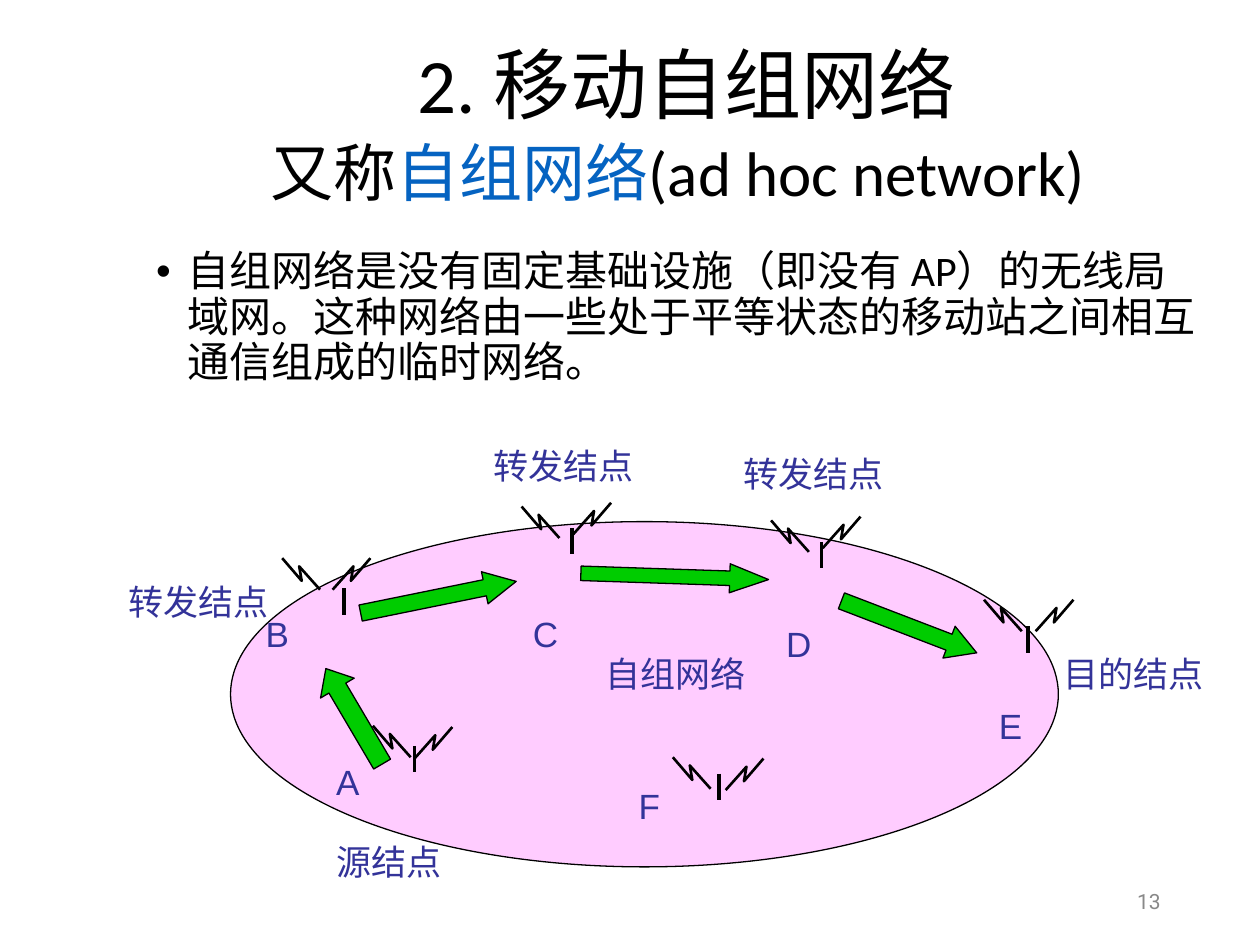
from dataclasses import dataclass

from lxml import etree
from pptx import Presentation
from pptx.dml.color import RGBColor
from pptx.enum.shapes import MSO_CONNECTOR, MSO_SHAPE
from pptx.enum.text import MSO_ANCHOR, MSO_AUTO_SIZE, PP_ALIGN
from pptx.oxml.ns import qn
from pptx.util import Inches, Pt

STRAIGHT = MSO_CONNECTOR.STRAIGHT
OVAL, ARROW = MSO_SHAPE.OVAL, MSO_SHAPE.RIGHT_ARROW
MIDDLE, TOP = MSO_ANCHOR.MIDDLE, MSO_ANCHOR.TOP
FIT, NO_FIT = MSO_AUTO_SIZE.SHAPE_TO_FIT_TEXT, MSO_AUTO_SIZE.NONE
CENTER, RIGHT = PP_ALIGN.CENTER, PP_ALIGN.RIGHT

UNIT = Inches(0.1)  # the slide is a grid of 100 columns by 75 rows
BLACK, INDIGO, LINK = "000000", "333399", "0563C1"
PINK, GREEN, GREY = "FFCCFF", "00CC00", "898989"

# Zigzag of a radio wave, from the mast outwards
WAVE = [(1.65, -1.85), (1.45, -0.7), (3, -2.5)]

# letter, letter place, mast top, starts of left and right wave from the mast top
STATIONS = [
    ("A", (16.7, 25.9), (23.9, 25.2), (-0.3, 0.9), (0, 1)),
    ("B", (11.1, 14.1), (18.3, 12.7), (-1.9, 0.1), (-0.9, 0.1)),
    ("C", (32.3, 14.1), (36.4, 7.9), (-1, 0.8), (0.1, 0.5)),
    ("D", (52.4, 14.9), (56.2, 9), (-1, 0.8), (0.1, 0.5)),
    ("E", (69.3, 21.4), (72.6, 15.7), (-0.5, 0.4), (0.6, 0.4)),
    ("F", (40.7, 27.8), (48.1, 27.4), (-0.7, 1.2), (0.5, 1.3)),
]
# box, rotation, head length
HOPS = [
    ((14.7, 21.3, 8.8, 3.1), 239.5, 0.58),
    ((19.5, 12.1, 12.6, 2.6), 348.5, 0.98),
    ((37.1, 10.6, 14.9, 2.3), 1.9, 1.34),
    ((57.4, 14.4, 11.5, 2.7), 21, 0.87),
]
CAPTIONS = [
    ("自组网络", (38.1, 17.3)),
    ("源结点", (16.7, 32.2)),
    ("目的结点", (74.4, 17.3)),
    ("转发结点", (0.2, 11.6)),
    ("转发结点", (29.2, 0.8)),
    ("转发结点", (49, 1.4)),
]


@dataclass
class Box:
    """A region in grid units."""
    left: float
    top: float
    width: float
    height: float

    def inner(self, left, top, width, height):
        return Box(self.left + left, self.top + top, width, height)

    def point(self, col, row):
        return round((self.left + col) * UNIT), round((self.top + row) * UNIT)

    def emu(self):
        return *self.point(0, 0), round(self.width * UNIT), round(self.height * UNIT)


def rgb(value):
    return RGBColor.from_string(value)


def apply(target, formats):
    for name, value in formats.items():
        setattr(target, name, value)


def add_run(paragraph, text, size, color, font="Calibri"):
    run = paragraph.add_run()
    run.text = text
    apply(run.font, {"name": font, "size": Pt(size)})
    run.font.color.rgb = rgb(color)


def add_text(slide, box, wrap=True, anchor=TOP, fit=NO_FIT, **paragraph_formats):
    """Add an empty text box and return its paragraph."""
    frame = slide.shapes.add_textbox(*box.emu()).text_frame
    apply(frame, {"word_wrap": wrap, "vertical_anchor": anchor, "auto_size": fit})
    paragraph = frame.paragraphs[0]
    apply(paragraph, paragraph_formats)
    return paragraph


def add_title(slide, box):
    title = add_text(slide, box, anchor=MIDDLE, alignment=CENTER, line_spacing=0.9)
    add_run(title, "2. 移动自组网络", 44, BLACK)
    title.add_line_break()
    add_run(title, "又称", 36, BLACK)
    add_run(title, "自组网络", 36, LINK)
    add_run(title, "(ad hoc network)", 36, BLACK)
    add_run(title, " ", 44, BLACK)


def add_definition(slide, box):
    definition = add_text(slide, box, line_spacing=0.9)
    properties = definition._p.get_or_add_pPr()
    properties.set("marL", str(Inches(0.25)))
    properties.set("indent", str(Inches(-0.25)))
    etree.SubElement(properties, qn("a:buFont")).set("typeface", "Arial")
    etree.SubElement(properties, qn("a:buChar")).set("char", "•")
    add_run(definition, "自组网络是没有固定基础设施（即没有 AP）的无线局域网。"
            "这种网络由一些处于平等状态的移动站之间相互通信组成的临时网络。", 24, BLACK)


def outline(shape, width):
    shape.line.color.rgb = rgb(BLACK)
    shape.line.width = Pt(width)


def add_solid(slide, kind, box, fill):
    solid = slide.shapes.add_shape(kind, *box.emu())
    solid.shadow.inherit = False
    solid.fill.solid()
    solid.fill.fore_color.rgb = rgb(fill)
    outline(solid, 0.75)
    return solid


def add_label(slide, box, text, place):
    """Add a one-line label, wide enough for its characters and both insets."""
    width = 3.9 if text.isascii() else 2.1 + 2.78 * len(text)
    label = add_text(slide, box.inner(*place, width, 4.3), wrap=False, fit=FIT)
    add_run(label, text, 20, INDIGO, "Arial")


def add_wave(slide, box, start, side):
    col, row = start
    builder = slide.shapes.build_freeform(*box.point(col, row))
    builder.add_line_segments(
        [box.point(col + side * dx, row + dy) for dx, dy in WAVE], close=False)
    wave = builder.convert_to_shape()
    wave.shadow.inherit = False
    wave.fill.background()
    outline(wave, 1.5)


def add_antenna(slide, box, mast_top, left_start, right_start):
    col, row = mast_top
    for (dx, dy), side in ((left_start, -1), (right_start, 1)):
        add_wave(slide, box, (col + dx, row + dy), side)
    mast = slide.shapes.add_connector(
        STRAIGHT, *box.point(col, row), *box.point(col, row + 2.1))
    outline(mast, 2.25)
    etree.SubElement(mast._element.spPr, qn("a:effectLst"))


def add_network(slide, box):
    add_solid(slide, OVAL, box.inner(9.3, 7.4, 65.7, 27.4), PINK)
    for letter, place, *antenna in STATIONS:
        add_antenna(slide, box, *antenna)
        add_label(slide, box, letter, place)
    for place, rotation, head in HOPS:
        hop = add_solid(slide, ARROW, box.inner(*place), GREEN)
        hop.rotation = rotation
        hop.adjustments[1] = head
    for text, place in CAPTIONS:
        add_label(slide, box, text, place)


def add_page_number(slide, box):
    add_run(add_text(slide, box, anchor=MIDDLE, alignment=RIGHT),
            "13", 12, GREY, "Roboto")


def main():
    deck = Presentation()
    apply(deck, {"slide_width": 100 * UNIT, "slide_height": 75 * UNIT})
    slide = deck.slides.add_slide(deck.slide_layouts[6])
    add_title(slide, Box(10.1, 2.3, 88.8, 16))
    add_definition(slide, Box(11.4, 19.4, 85, 14.2))
    add_network(slide, Box(9, 34, 88, 37))
    add_page_number(slide, Box(70.6, 69.5, 22.5, 4))
    deck.save("out.pptx")


if __name__ == "__main__":
    main()
